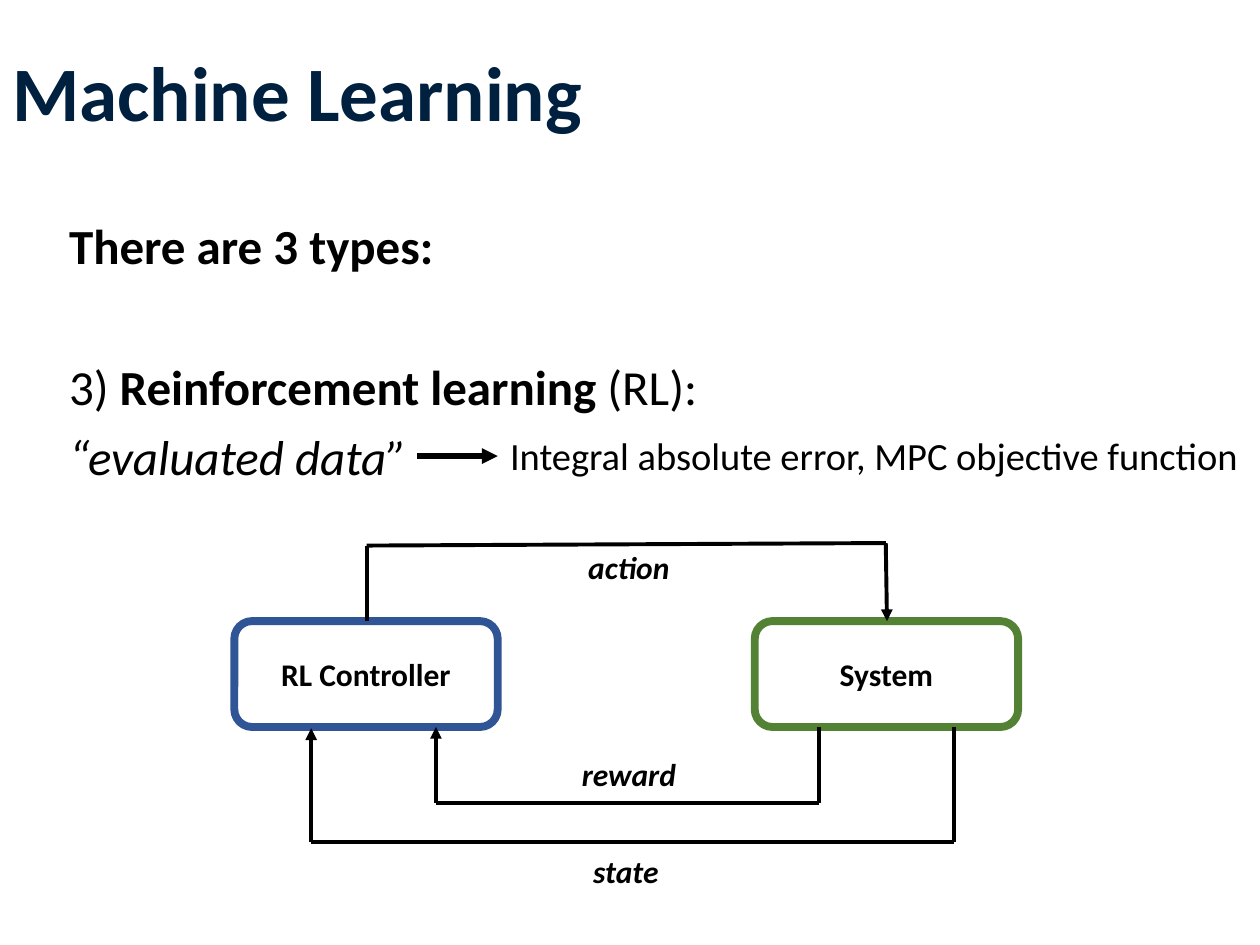
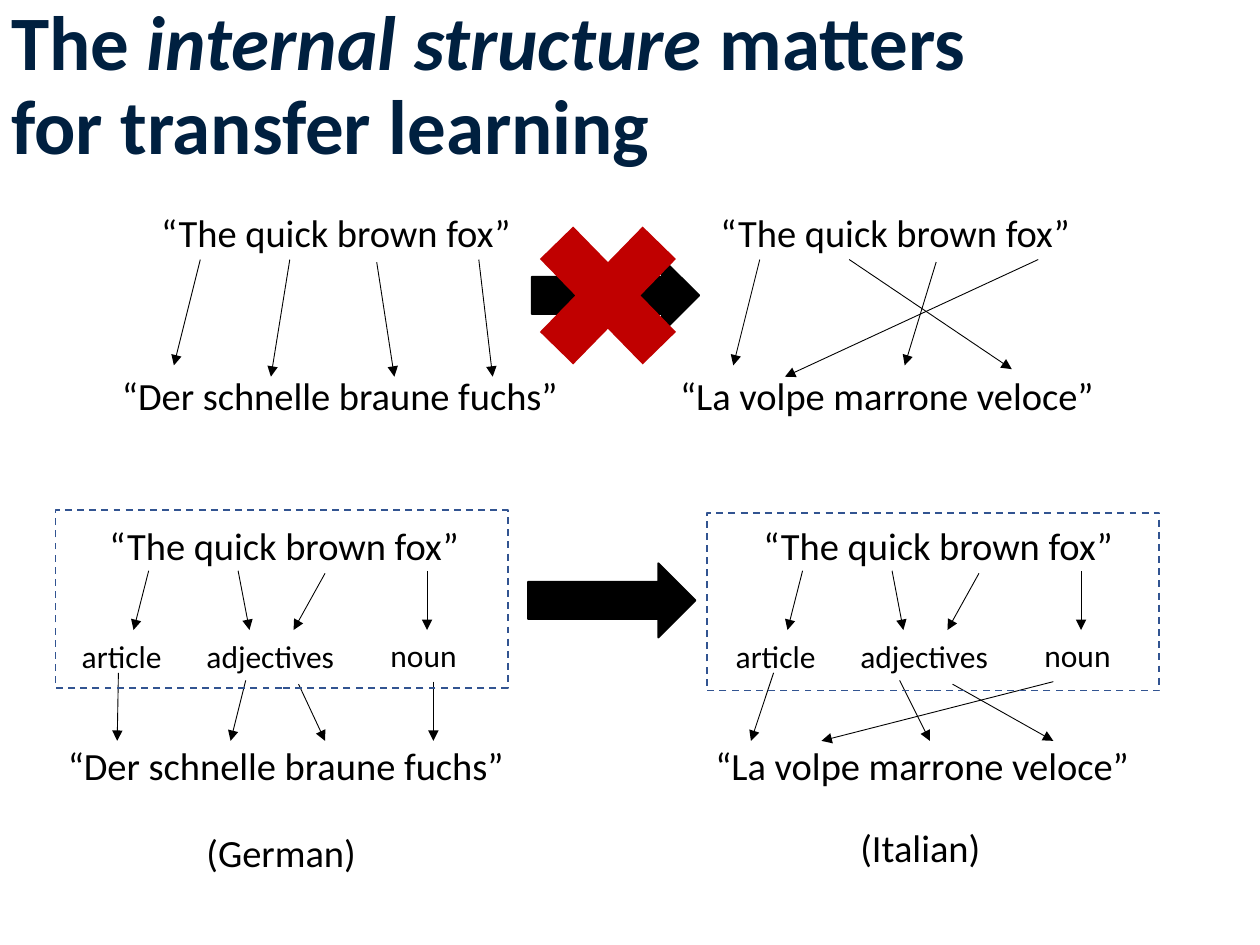
"""Builds two slides on reinforcement learning and on structure in transfer learning."""
from lxml import etree
from pptx import Presentation
from pptx import util as u
from pptx.dml.color import RGBColor
from pptx.enum import dml, shapes, text
from pptx.oxml.ns import qn

W, H = 10, 7.5
FONT = "Calibri"
COLORS = {"title": "002040", "ink": "000000", "controller": "2F5597",
          "system": "548235", "frame": "325491", "cross": "C00000"}
PHRASE, BODY, LABEL = 22, 28, 18
PHRASE_H, LABEL_H = 0.47, 0.4

TITLES = [
    ((0, 0.04), [("Machine Learning", {})]),
    ((-0.01, -0.03), [("The", {}), (" internal structure ", {"italic": True}),
                      ("matters for transfer learning", {})]),
]

TYPES = [
    [("There are 3 types:", {"bold": True})],
    [("3) ", {}), ("Reinforcement learning ", {"bold": True}), ("(RL):", {})],
    [("“evaluated data”", {"italic": True})],
]
TYPE_GAPS = [10, 50.5, 10]
EXAMPLE = "Integral absolute error, MPC objective function"

BLOCK_Y, BLOCK_W, BLOCK_H = 4.93, 2.09, 0.84
BLOCK_END = BLOCK_Y + BLOCK_H
BLOCKS = [("RL Controller", 1.86, "controller"), ("System", 5.99, "system")]
SIGNALS = [
    ("action", (4.57, 4.3, 0.92), [(2.91, BLOCK_Y), (2.91, 4.33), (7.03, 4.31), (7.04, BLOCK_Y)]),
    ("reward", (4.52, 5.94, 0.97), [(6.5, BLOCK_END), (6.5, 6.37), (3.46, 6.37), (3.46, BLOCK_END)]),
    ("state", (4.61, 6.71, 0.92), [(7.57, BLOCK_END), (7.57, 6.68), (2.47, 6.68), (2.47, 5.78)]),
]

ENGLISH = "“The quick brown fox”"
GERMAN = "“Der schnelle braune fuchs”"
ITALIAN = "“La volpe marrone veloce”"
WORDS = [(0.41, 0), (1.12, 0), (1.81, 0.02), (2.62, 0)]
ROLES = [("article", -0.22, 5.01, 0.89), ("adjectives", 0.77, 5.01, 1.28), ("noun", 2.23, 5, 0.89)]
TO_ROLES = [0.29, 1.21, 1.56, 2.62]

DIRECT = [
    {"left": 1.18, "target": GERMAN, "target_x": 0.87,
     "ends": [(0.2, 2.9), (0.97, 2.99), (1.95, 2.99), (2.73, 2.99)]},
    {"left": 5.62, "target": ITALIAN, "target_x": 5.3,
     "ends": [(0.2, 2.9), (2.41, 2.93), (1.56, 2.9), (0.61, 2.99)]},
]
STRUCTURED = [
    {"left": 0.77, "target": GERMAN, "target_x": 0.44, "frame": (0.44, 4.05),
     "language": "(German)", "language_y": 6.53,
     "starts": [0.17, 1.18, 1.6, 2.67], "ends": [0.16, 1.06, 1.81, 2.67]},
    {"left": 5.96, "target": ITALIAN, "target_x": 5.58, "frame": (5.61, 4.07),
     "language": "(Italian)", "language_y": 6.49,
     "starts": [0.18, 1.18, 1.6, 2.4], "ends": [0, 1.42, 2.4, 0.56]},
]
ROLE_BOTTOMS = [5.34, 5.4, 5.43, 5.41]


def rgb(name):
    return RGBColor.from_string(COLORS[name])


def write(sp, paras, size=PHRASE, color="ink", bold=False, italic=False, align=None,
          anchor=text.MSO_ANCHOR.TOP, spacing=None, gaps=None):
    tf = sp.text_frame
    tf.word_wrap = True
    tf.vertical_anchor = anchor
    for i, runs in enumerate([[(paras, {})]] if isinstance(paras, str) else paras):
        p = tf.paragraphs[0] if i == 0 else tf.add_paragraph()
        p.alignment = align
        p.line_spacing = spacing
        if gaps:
            p.space_before = u.Pt(gaps[i])
        for words, style in runs:
            r = p.add_run()
            r.text = words
            r.font.name, r.font.size = FONT, u.Pt(size)
            r.font.bold = style.get("bold", bold)
            r.font.italic = style.get("italic", italic)
            r.font.color.rgb = rgb(color)


def add_text(s, x, y, w, h, paras, **fmt):
    write(s.shapes.add_textbox(*map(u.Inches, (x, y, w, h))), paras, **fmt)


def add_shape(s, kind, x, y, w, h, fill=None, line=None, weight=1, dash=None):
    sp = s.shapes.add_shape(kind, *map(u.Inches, (x, y, w, h)))
    sp.shadow.inherit = False
    if fill:
        sp.fill.solid()
        sp.fill.fore_color.rgb = rgb(fill)
    else:
        sp.fill.background()
    if line:
        sp.line.color.rgb = rgb(line)
        sp.line.width = u.Pt(weight)
        sp.line.dash_style = dash
    else:
        sp.line.fill.background()
    return sp


def add_line(s, start, end, weight=0.5, arrow=True):
    c = s.shapes.add_connector(shapes.MSO_CONNECTOR.STRAIGHT, *map(u.Inches, (*start, *end)))
    c.line.color.rgb = rgb("ink")
    c.line.width = u.Pt(weight)
    if arrow:
        etree.SubElement(c.line._get_or_add_ln(), qn("a:tailEnd"), type="triangle")
    etree.SubElement(c._element.spPr, qn("a:effectLst"))


def add_slide(prs, title):
    s = prs.slides.add_slide(prs.slide_layouts[6])
    (x, y), runs = title
    add_text(s, x, y, 8.62, 1.45, [runs], size=44, color="title", bold=True,
             anchor=text.MSO_ANCHOR.MIDDLE, spacing=0.9)
    return s


def draw_learning(s):
    add_text(s, 0.45, 1.71, 5.26, 4.78, TYPES, size=BODY, spacing=0.9, gaps=TYPE_GAPS)
    add_line(s, (3.31, 3.62), (3.95, 3.62), weight=3)
    add_text(s, 3.95, 3.38, 6.16, PHRASE_H, EXAMPLE)
    for name, x, color in BLOCKS:
        sp = add_shape(s, shapes.MSO_SHAPE.ROUNDED_RECTANGLE, x, BLOCK_Y, BLOCK_W, BLOCK_H,
                       line=color, weight=4.5)
        write(sp, name, size=LABEL, bold=True, align=text.PP_ALIGN.CENTER,
              anchor=text.MSO_ANCHOR.MIDDLE)
    for name, (x, y, w), route in SIGNALS:
        for i, (start, end) in enumerate(zip(route, route[1:])):
            add_line(s, start, end, weight=2.25, arrow=i == len(route) - 2)
        add_text(s, x, y, w, LABEL_H, name, size=LABEL, bold=True, italic=True)


def draw_phrases(s, pane, top, bottom):
    add_text(s, pane["left"], top, 3.13, PHRASE_H, ENGLISH)
    add_text(s, pane["target_x"], bottom, 3.76, PHRASE_H, pane["target"])


def draw_transfer(s):
    for pane in DIRECT:
        left = pane["left"]
        draw_phrases(s, pane, 1.61, 2.9)
        for (x, drop), (end_x, end_y) in zip(WORDS, pane["ends"]):
            add_line(s, (left + x, 2.06 + drop), (left + end_x, end_y))
    for pane in STRUCTURED:
        left = pane["left"]
        draw_phrases(s, pane, 4.09, 5.84)
        for (x, drop), end in zip(WORDS, TO_ROLES):
            add_line(s, (left + x, 4.53 + drop), (left + end, 5))
        for name, x, y, w in ROLES:
            add_text(s, left + x, y, w, LABEL_H, name, size=LABEL)
        for x, y, end in zip(pane["starts"], ROLE_BOTTOMS, pane["ends"]):
            add_line(s, (left + x, y), (left + end, 5.88))
        add_text(s, left + 0.77, pane["language_y"], 1.59, PHRASE_H, pane["language"])
        add_shape(s, shapes.MSO_SHAPE.RECTANGLE, *pane["frame"], 3.59, 1.41,
                  line="frame", dash=dml.MSO_LINE.DASH)
    for x, y in [(4.22, 2.05), (4.19, 4.47)]:
        add_shape(s, shapes.MSO_SHAPE.RIGHT_ARROW, x, y, 1.33, 0.59, fill="ink", line="ink")
    add_shape(s, shapes.MSO_SHAPE.MATH_MULTIPLY, 4.04, 1.54, 1.57, 1.61, fill="cross")


def main():
    prs = Presentation()
    prs.slide_width, prs.slide_height = u.Inches(W), u.Inches(H)
    for title, draw in zip(TITLES, (draw_learning, draw_transfer)):
        draw(add_slide(prs, title))
    prs.save("out.pptx")


if __name__ == "__main__":
    main()
